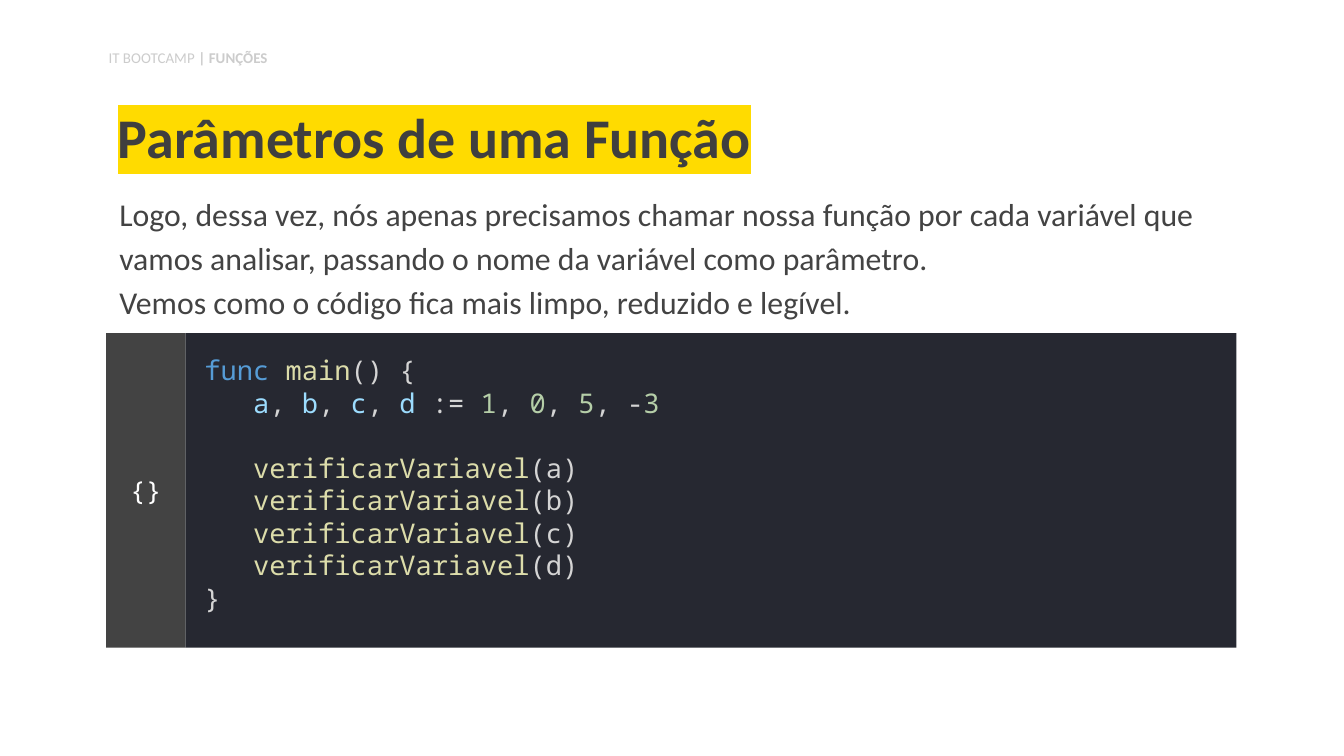
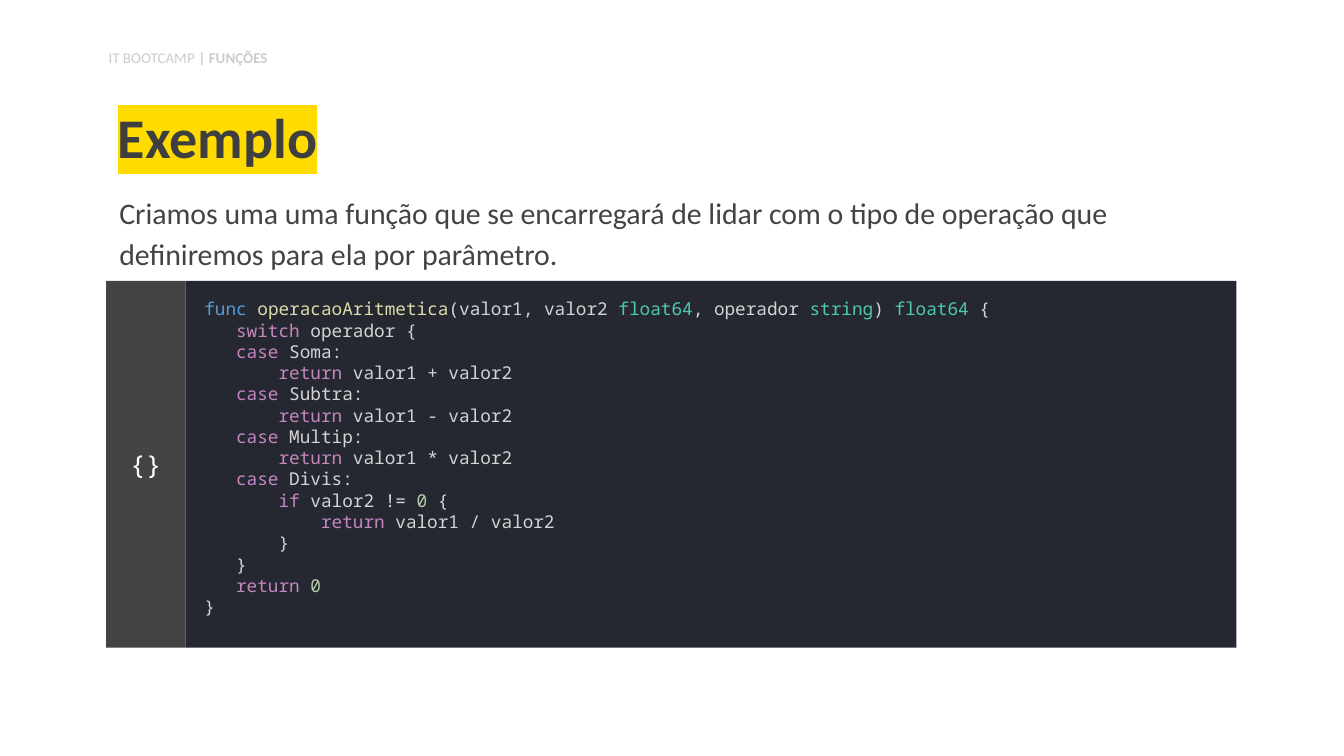
from itertools import groupby

from lxml.etree import SubElement
from pptx import Presentation
from pptx.dml.color import RGBColor
from pptx.enum.shapes import MSO_SHAPE
from pptx.enum.text import MSO_ANCHOR, PP_ALIGN
from pptx.oxml.ns import qn
from pptx.util import Inches, Pt

# Content
SECTION = ("IT BOOTCAMP", " | FUNÇÕES")
LESSONS = [
    {
        "title": "Parâmetros de uma Função",
        "body": [
            "Logo, dessa vez, nós apenas precisamos chamar nossa função por cada "
            "variável que vamos analisar, passando o nome da variável como parâmetro.",
            "Vemos como o código fica mais limpo, reduzido e legível.",
        ],
        "body_size": 17,
        "body_height": 1.09,
        "code": [
            "func main() {",
            "   a, b, c, d := 1, 0, 5, -3",
            "  ",
            "   verificarVariavel(a)",
            "   verificarVariavel(b)",
            "   verificarVariavel(c)",
            "   verificarVariavel(d)",
            "}",
        ],
        "code_size": 14.5,
        "code_top": 2.48,
    },
    {
        "title": "Exemplo",
        "body": [
            "Criamos uma uma função que se encarregará de lidar com o tipo de "
            "operação que definiremos para ela por parâmetro.",
        ],
        "body_size": 16,
        "body_height": 0.65,
        "code": [
            "func operacaoAritmetica(valor1, valor2 float64, operador string) float64 {",
            "   switch operador {",
            "   case Soma:",
            "       return valor1 + valor2",
            "   case Subtra:",
            "       return valor1 - valor2",
            "   case Multip:",
            "       return valor1 * valor2",
            "   case Divis:",
            "       if valor2 != 0 {",
            "           return valor1 / valor2",
            "       }",
            "   }",
            "   return 0",
            "}",
        ],
        "code_size": 9.5,
        "code_top": 2.09,
    },
]

# Shared look
SANS, MONO = "Calibri", "Noto Sans Mono"
WHITE = RGBColor(0xFF, 0xFF, 0xFF)
TITLE_INK = RGBColor(0x3F, 0x3F, 0x3F)
TITLE_MARK = RGBColor(0xFF, 0xDB, 0x00)
GREY = RGBColor(0x43, 0x43, 0x43)
SECTION_GREY = RGBColor(0xCC, 0xCC, 0xCC)
PANEL = RGBColor(0x26, 0x28, 0x31)

# Syntax colours
CODE_PLAIN = RGBColor(0xD4, 0xD4, 0xD4)
CODE_DECLARE = RGBColor(0x56, 0x9C, 0xD6)
CODE_FUNCTION = RGBColor(0xDC, 0xDC, 0xAA)
CODE_VARIABLE = RGBColor(0x9C, 0xDC, 0xFE)
CODE_NUMBER = RGBColor(0xB5, 0xCE, 0xA8)
CODE_TYPE = RGBColor(0x4E, 0xC9, 0xB0)
CODE_CONTROL = RGBColor(0xC5, 0x86, 0xC0)
SYNTAX = {
    CODE_DECLARE: ("func",),
    CODE_FUNCTION: ("main", "operacaoAritmetica", "verificarVariavel"),
    CODE_TYPE: ("float64", "string"),
    CODE_CONTROL: ("switch", "case", "return", "if"),
}
WORD_COLOURS = {word: colour for colour, words in SYNTAX.items() for word in words}

# Slide is 16:9
SLIDE_WIDTH = Inches(10)
SLIDE_HEIGHT = SLIDE_WIDTH * 9 // 16
LEFT, CODE_LEFT, RIGHT, CODE_BOTTOM = 0.79, 1.38, 9.2, 4.82
TEXT_WIDTH = 8.43


def highlight(line):
    """Split a code line into (text, format) pieces coloured by their role."""
    pieces, declaring = [], ":=" in line
    for is_word, letters in groupby(line, str.isalnum):
        word = "".join(letters)
        colour = WORD_COLOURS.get(word, CODE_PLAIN)
        if word.isdigit():
            colour = CODE_NUMBER
        elif is_word and declaring and colour == CODE_PLAIN:
            colour = CODE_VARIABLE
        pieces.append((word, {"colour": colour}))
    return pieces


def format_run(run, font, size, colour, bold=False, mark=None):
    run.font.name = font
    run.font.size = Pt(size)
    run.font.bold = bold
    run.font.color.rgb = colour
    if mark is not None:
        properties = run.font._element
        marker = SubElement(properties, qn("a:highlight"))
        SubElement(marker, qn("a:srgbClr")).set("val", str(mark))
        properties.find(qn("a:solidFill")).addnext(marker)


def write(slide, paragraphs, at, fill=None, insets=(0.1, 0.1, 0.1, 0.1),
          anchor=MSO_ANCHOR.TOP, align=PP_ALIGN.LEFT, line_spacing=None,
          space_after=None, **base):
    """Place paragraphs, each a list of (text, format) pieces, in a box or filled panel."""
    place = [Inches(length) for length in at]
    if fill is None:
        box = slide.shapes.add_textbox(*place)
    else:
        box = slide.shapes.add_shape(MSO_SHAPE.RECTANGLE, *place)
        box.shadow.inherit = False
        box.fill.solid()
        box.fill.fore_color.rgb = fill
        box.line.fill.background()
    frame = box.text_frame
    frame.word_wrap = True
    frame.vertical_anchor = anchor
    (frame.margin_left, frame.margin_top,
     frame.margin_right, frame.margin_bottom) = [Inches(inset) for inset in insets]
    for index, pieces in enumerate(paragraphs):
        paragraph = frame.add_paragraph() if index else frame.paragraphs[0]
        paragraph.alignment = align
        if line_spacing:
            paragraph.line_spacing = line_spacing
        if space_after:
            paragraph.space_after = Pt(space_after)
        for text, changes in pieces:
            run = paragraph.add_run()
            run.text = text
            format_run(run, **{**base, **changes})


def build_lesson(slide, lesson):
    # Explanation
    write(slide, [[(text, {})] for text in lesson["body"]],
          (LEFT, 1.31, TEXT_WIDTH, lesson["body_height"]),
          line_spacing=1.15, font=SANS, size=lesson["body_size"], colour=GREY)

    # Code panel and its side tab
    top = lesson["code_top"]
    height = CODE_BOTTOM - top
    write(slide, [highlight(line) for line in lesson["code"]],
          (CODE_LEFT, top, RIGHT - CODE_LEFT, height), fill=PANEL,
          insets=(0.14, 0, 0.1, 0.1), anchor=MSO_ANCHOR.MIDDLE,
          font=MONO, size=lesson["code_size"], colour=CODE_PLAIN)
    write(slide, [[("{}", {})]], (LEFT, top, CODE_LEFT - LEFT, height), fill=GREY,
          anchor=MSO_ANCHOR.MIDDLE, align=PP_ALIGN.CENTER,
          font=MONO, size=14, colour=WHITE)

    # Title
    write(slide, [[(lesson["title"], {})]], (0.78, 0.68, TEXT_WIDTH, 0.69),
          anchor=MSO_ANCHOR.BOTTOM, line_spacing=0.9,
          font=SANS, size=30, colour=TITLE_INK, bold=True, mark=TITLE_MARK)

    # Section header
    course, topic = SECTION
    write(slide, [[(course, {}), (topic, {"bold": True})]], (0.71, 0.31, 3.14, 0.27),
          insets=(0.1, 0.05, 0.1, 0.05), space_after=12,
          font=SANS, size=8, colour=SECTION_GREY)


def main():
    deck = Presentation()
    deck.slide_width, deck.slide_height = SLIDE_WIDTH, SLIDE_HEIGHT
    for lesson in LESSONS:
        build_lesson(deck.slides.add_slide(deck.slide_layouts[6]), lesson)
    deck.save("out.pptx")


if __name__ == "__main__":
    main()
